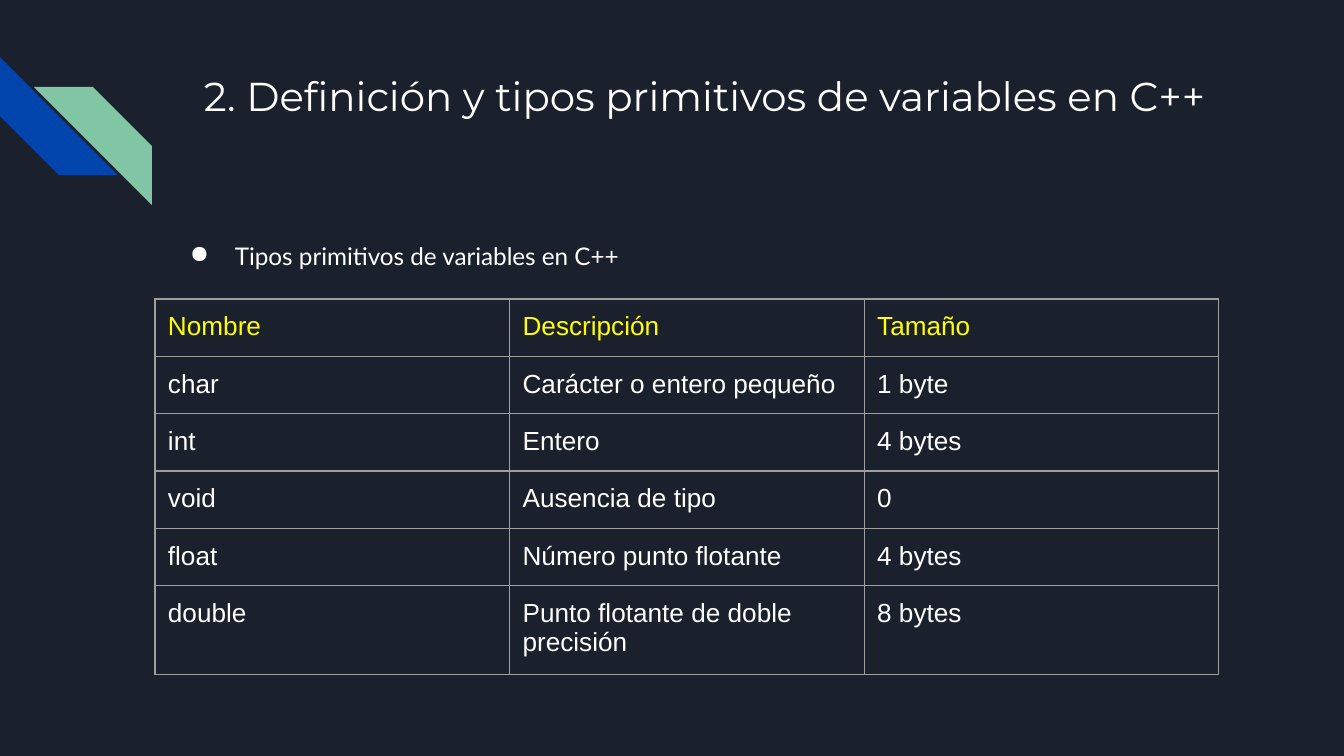
from lxml.etree import SubElement
from pptx import Presentation
from pptx.dml.color import RGBColor
from pptx.enum.shapes import MSO_SHAPE
from pptx.oxml.ns import qn
from pptx.util import Pt

SCALE = 9144000 / 1344
PAD = 13
COLORS = {
    "back": "1B212C",
    "blue": "0145AC",
    "green": "82C7A5",
    "white": "FFFFFF",
    "yellow": "FFFF00",
    "grid": "9E9E9E",
}
ROWS = [
    ("Nombre", "Descripción", "Tamaño"),
    ("char", "Carácter o entero pequeño", "1 byte"),
    ("int", "Entero", "4 bytes"),
    ("void", "Ausencia de tipo", "0"),
    ("float", "Número punto flotante", "4 bytes"),
    ("double", "Punto flotante de doble precisión", "8 bytes"),
]


def px(n):
    return round(n * SCALE)


def color(name):
    return RGBColor.from_string(COLORS[name])


def style(para, face, size, name):
    para.font.name = face
    para.font.size = Pt(size)
    para.font.color.rgb = color(name)


def pad(item):
    item.margin_left = item.margin_right = px(PAD)
    item.margin_top = item.margin_bottom = px(PAD)


def stripe(slide, x, y, side, name):
    shape = slide.shapes.add_shape(
        MSO_SHAPE.DIAGONAL_STRIPE, px(x), px(y), px(side), px(side))
    shape.adjustments[0] = 0.5
    shape.shadow.inherit = False
    shape.fill.solid()
    shape.fill.fore_color.rgb = color(name)
    shape.line.fill.background()
    return shape


def emblem(slide, x, y):
    stripe(slide, x, y, 118, "blue").rotation = 270
    green = stripe(slide, x + 34, y + 30, 118, "green")
    green.element.spPr.xfrm.set("flipH", "1")


def textbox(slide, x, y, w, h, text):
    frame = slide.shapes.add_textbox(px(x), px(y), px(w), px(h)).text_frame
    frame.word_wrap = True
    pad(frame)
    para = frame.paragraphs[0]
    para.text = text
    return para


def title(slide, x, y, w, h):
    para = textbox(slide, x, y, w, h,
                   "2. Definición y tipos primitivos de variables en C++")
    style(para, "Montserrat", 21.6, "white")


def body(slide, x, y, w, h):
    para = textbox(slide, x, y, w, h, "Tipos primitivos de variables en C++")
    para.line_spacing = 1.15
    props = para._p.get_or_add_pPr()
    props.set("marL", str(px(67)))
    props.set("indent", str(px(-45)))
    tint = SubElement(props, qn("a:buClr"))
    SubElement(tint, qn("a:srgbClr"), val=COLORS["white"])
    SubElement(props, qn("a:buChar"), char="●")
    style(para, "Lato", 13, "white")


def border(cell):
    props = cell._tc.get_or_add_tcPr()
    for side in ("lnL", "lnR", "lnT", "lnB"):
        line = SubElement(props, qn(f"a:{side}"), w=str(Pt(0.75)))
        fill = SubElement(line, qn("a:solidFill"))
        SubElement(fill, qn("a:srgbClr"), val=COLORS["grid"])


def types(slide, x, y, w, h):
    """Table of primitive types; the last row grows with its text."""
    table = slide.shapes.add_table(
        len(ROWS), len(ROWS[0]), px(x), px(y), px(w), px(h)).table
    for col in table.columns:
        col.width = px(w / len(ROWS[0]))
    for r, row in enumerate(ROWS):
        table.rows[r].height = px(h / len(ROWS))
        for c, text in enumerate(row):
            cell = table.cell(r, c)
            cell.text = text
            pad(cell)
            border(cell)
            cell.fill.background()
            style(cell.text_frame.paragraphs[0], "Arial", 14,
                  "white" if r else "yellow")


def main():
    deck = Presentation()
    deck.slide_width, deck.slide_height = px(1344), px(756)
    slide = deck.slides.add_slide(deck.slide_layouts[6])
    slide.background.fill.solid()
    slide.background.fill.fore_color.rgb = color("back")
    emblem(slide, 0, 57)
    title(slide, 191, 58, 1035, 134)
    body(slide, 155, 224, 1035, 427)
    types(slide, 155, 299, 1064, 336)
    deck.save("out.pptx")


if __name__ == "__main__":
    main()
